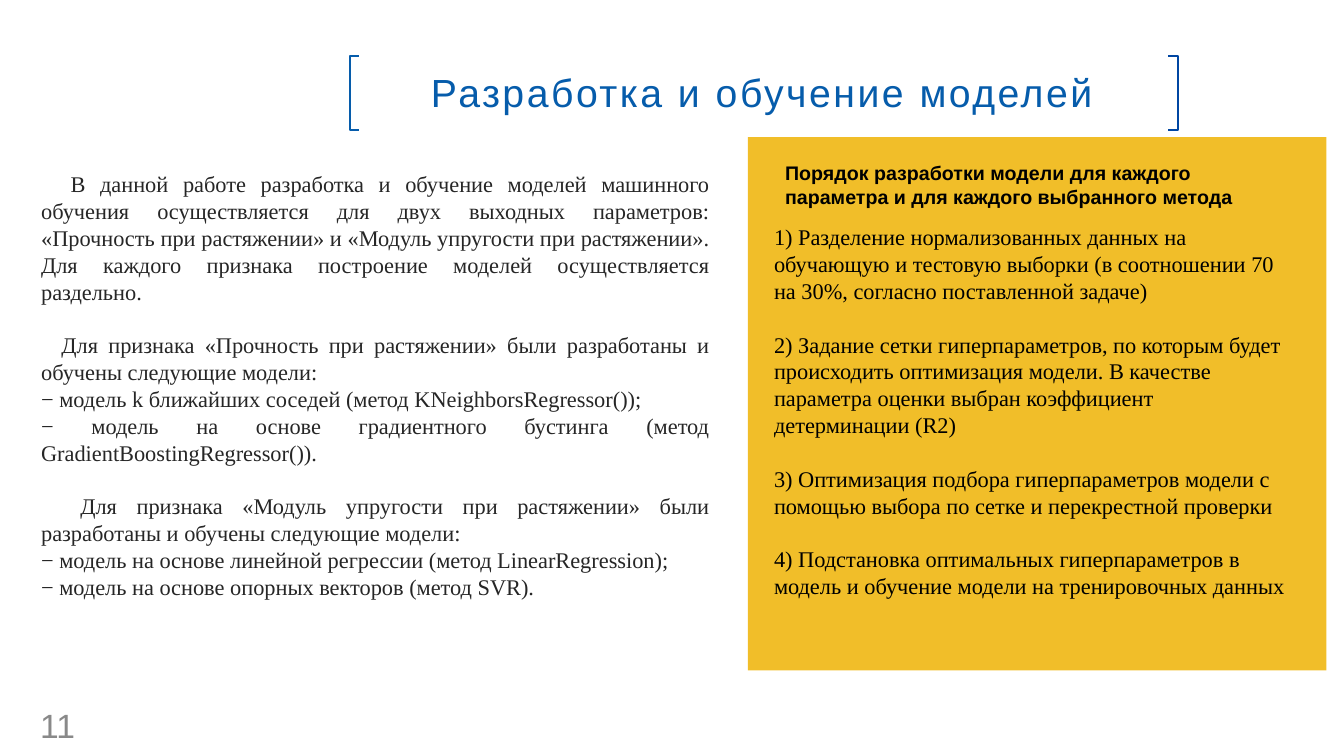
from pptx import Presentation
from pptx.dml.color import RGBColor
from pptx.enum.shapes import MSO_SHAPE
from pptx.enum.text import MSO_ANCHOR, PP_ALIGN
from pptx.util import Pt

BLUE = RGBColor(0x06, 0x5C, 0xAB)
DARK_BLUE = RGBColor(0x00, 0x46, 0xA2)
YELLOW = RGBColor(0xF1, 0xBE, 0x29)
WHITE = RGBColor(0xFF, 0xFF, 0xFF)
BLACK = RGBColor(0x00, 0x00, 0x00)
CHARCOAL = RGBColor(0x26, 0x26, 0x26)
GREY = RGBColor(0x89, 0x89, 0x89)
SANS = "Arial"
SERIF = "Times New Roman"
BLANK_LINE = 19.1

MODELS = [
    (0, 21, "В данной работе разработка и обучение моделей машинного обучения осуществляется "
            "для двух выходных параметров: «Прочность при растяжении» и «Модуль упругости при "
            "растяжении». Для каждого признака построение моделей осуществляется раздельно."),
    (BLANK_LINE, 14.5, "Для признака «Прочность при растяжении» были разработаны и обучены "
                       "следующие модели:"),
    (0, 0, "− модель k ближайших соседей (метод KNeighborsRegressor());"),
    (0, 0, "− модель на основе градиентного бустинга (метод GradientBoostingRegressor())."),
    (BLANK_LINE, 28, "Для признака «Модуль упругости при растяжении» были разработаны и обучены "
                     "следующие модели:"),
    (0, 0, "− модель на основе линейной регрессии (метод LinearRegression);"),
    (0, 0, "− модель на основе опорных векторов (метод SVR)."),
]
STEPS = [
    "1) Разделение нормализованных данных на обучающую и тестовую выборки (в соотношении "
    "70 на 30%, согласно поставленной задаче)",
    "2) Задание сетки гиперпараметров, по которым будет происходить оптимизация модели. "
    "В качестве параметра оценки выбран коэффициент детерминации (R2)",
    "3) Оптимизация подбора гиперпараметров модели с помощью выбора по сетке и перекрестной "
    "проверки",
    "4) Подстановка оптимальных гиперпараметров в модель и обучение модели на тренировочных "
    "данных",
]


def add_panel(slide, left, top, width, height, fill, outline=None):
    """Add a plain filled rectangle."""
    panel = slide.shapes.add_shape(MSO_SHAPE.RECTANGLE, Pt(left), Pt(top), Pt(width), Pt(height))
    panel.shadow.inherit = False
    panel.fill.solid()
    panel.fill.fore_color.rgb = fill
    if outline is None:
        panel.line.fill.background()
    else:
        panel.line.color.rgb = outline
        panel.line.width = Pt(2)
    return panel


def add_bracket(slide, outer, inner, color):
    """Add a square bracket that opens from outer towards inner."""
    top, bottom = Pt(40.3), Pt(92.9)
    builder = slide.shapes.build_freeform(Pt(inner), top)
    builder.add_line_segments(
        [(Pt(outer), top), (Pt(outer), bottom), (Pt(inner), bottom)], close=False)
    bracket = builder.convert_to_shape()
    bracket.shadow.inherit = False
    bracket.fill.background()
    bracket.line.color.rgb = color
    bracket.line.width = Pt(1.3)


def add_text_box(slide, left, top, width, height):
    """Add an empty wrapping text box."""
    box = slide.shapes.add_textbox(Pt(left), Pt(top), Pt(width), Pt(height))
    box.text_frame.word_wrap = True
    return box


def write(shape, items, font, size, color, align=PP_ALIGN.LEFT, bold=False):
    """Fill a shape with (space before, first-line indent, text) paragraphs."""
    frame = shape.text_frame
    frame.text = "\n".join(text for _, _, text in items)
    for para, (space, indent, _) in zip(frame.paragraphs, items):
        para.alignment = align
        para.space_before = Pt(space)
        if indent:
            para._p.get_or_add_pPr().set("indent", str(Pt(indent)))
        for span in para.runs:
            span.font.name = font
            span.font.size = Pt(size)
            span.font.bold = bold
            span.font.color.rgb = color


def add_title(slide, text):
    """Add the letter-spaced title between its two brackets."""
    title = add_panel(slide, 253.4, 39.6, 581.8, 52.6, WHITE, WHITE)
    title.text_frame.vertical_anchor = MSO_ANCHOR.MIDDLE
    write(title, [(0, 0, text)], SANS, 28, BLUE, PP_ALIGN.CENTER)
    span = title.text_frame.paragraphs[0].runs[0]
    span._r.get_or_add_rPr().set("spc", "180")
    add_bracket(slide, 249.8, 256.3, BLUE)
    add_bracket(slide, 841.7, 834.5, DARK_BLUE)


def main():
    """Build the slide and save it."""
    deck = Presentation()
    deck.slide_width, deck.slide_height = Pt(960), Pt(540)
    slide = deck.slides.add_slide(deck.slide_layouts[6])

    add_panel(slide, 534.2, 97.9, 413.3, 380.9, YELLOW)
    add_title(slide, "Разработка и обучение моделей")

    number = add_text_box(slide, 21.6, 506.9, 44.6, 21.6)
    number.text_frame.vertical_anchor = MSO_ANCHOR.MIDDLE
    write(number, [(0, 0, "11")], SANS, 24, GREY)

    models = add_text_box(slide, 22.3, 118.1, 491.8, 317.5)
    write(models, MODELS, SERIF, 16, CHARCOAL, PP_ALIGN.JUSTIFY)

    steps = add_text_box(slide, 545.8, 136.8, 379.4, 317.5)
    steps.text_frame.margin_top = Pt(3.6 + BLANK_LINE)
    step_items = [(BLANK_LINE if place else 0, 0, text) for place, text in enumerate(STEPS)]
    write(steps, step_items, SERIF, 16, BLACK)

    heading = add_text_box(slide, 553.7, 111.6, 365.8, 41)
    heading_text = "Порядок разработки модели для каждого параметра и для каждого выбранного метода"
    write(heading, [(0, 0, heading_text)], SANS, 14, BLACK, bold=True)

    deck.save("out.pptx")


if __name__ == "__main__":
    main()
